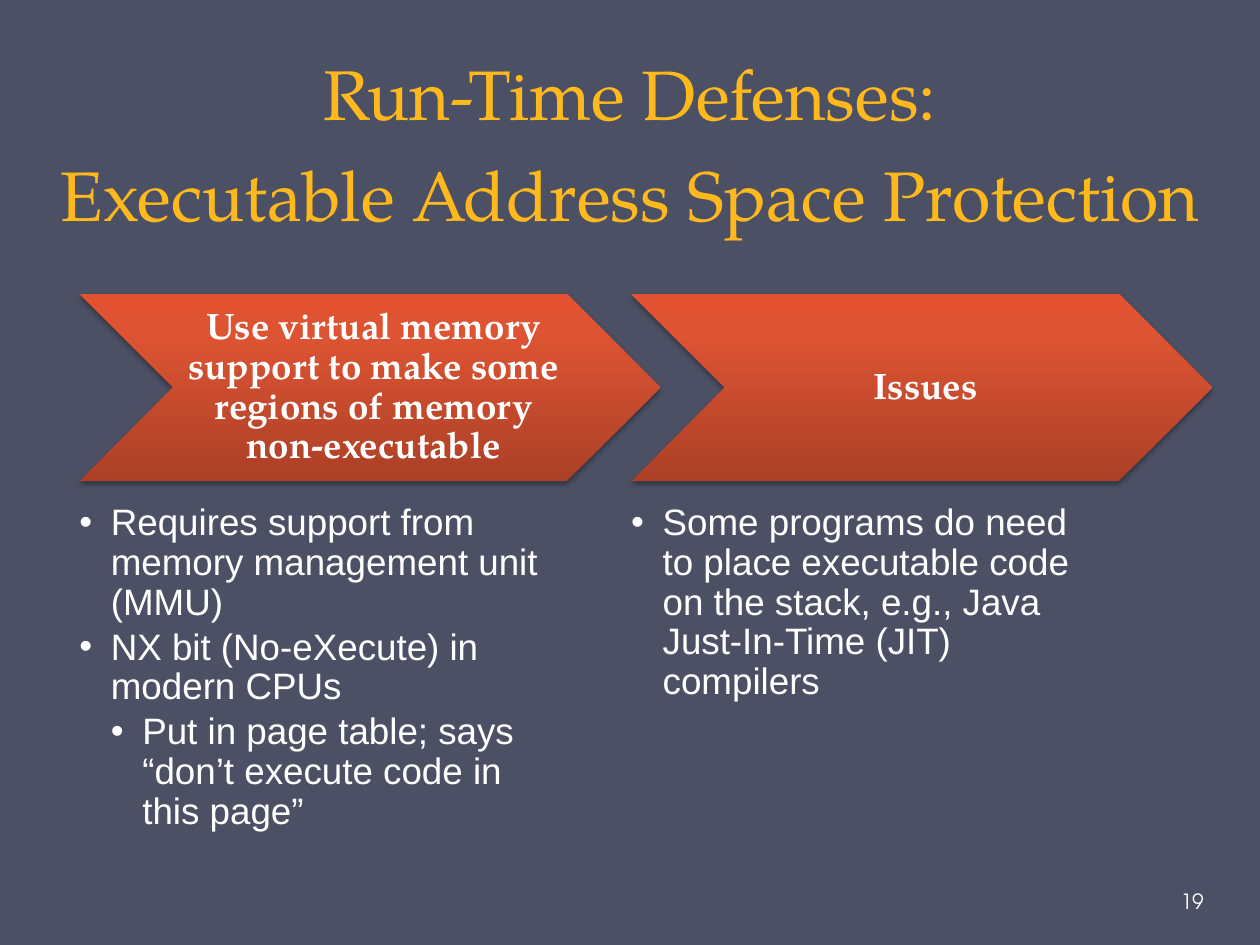
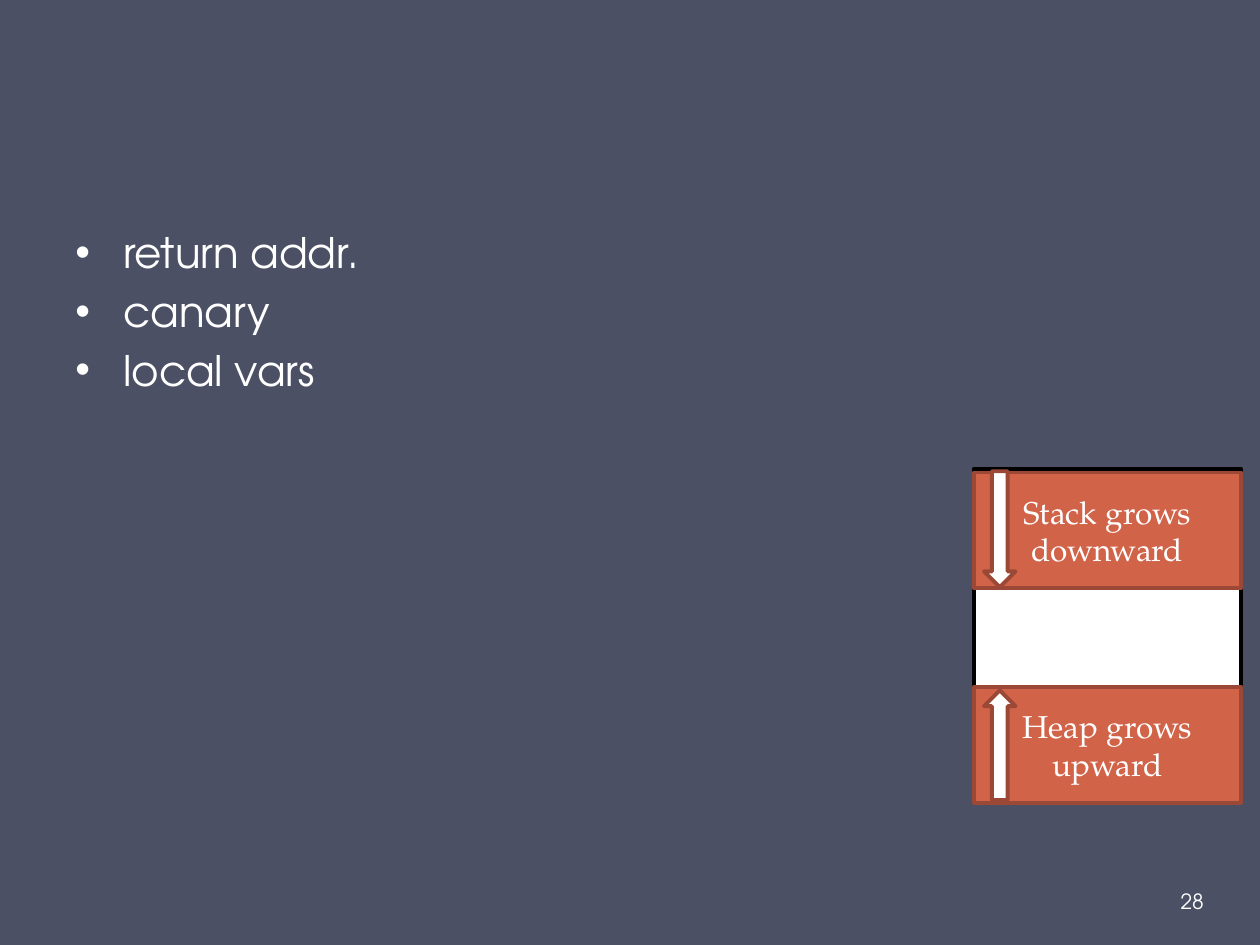
from lxml import etree
from pptx import Presentation
from pptx import util as u
from pptx.dml.color import RGBColor
from pptx.enum import shapes, text
from pptx.oxml.ns import qn

COLORS = {
    "background": "4B5064", "title": "FFB91D", "white": "FFFFFF", "black": "000000",
    "segment": "D16349", "segment_edge": "9B4936",
    "chevron_low": "AB4027", "chevron_mid": "DE5433", "chevron_high": "E35230",
}
SERIF, SANS, BODY = "TeX Gyre Pagella", "TeX Gyre Adventor", "Arial"
WIDTH, HEIGHT = 10, 7.5

TITLE = ["Run-Time Defenses:", "Executable Address Space Protection"]
# Each column: heading, then bullets as (level, text)
COLUMNS = [
    ("Use virtual memory support to make some regions of memory non-executable", [
        (1, "Requires support from memory management unit (MMU)"),
        (1, "NX bit (No-eXecute) in modern CPUs"),
        (2, "Put in page table; says “don’t execute code in this page”"),
    ]),
    ("Issues", [
        (1, "Some programs do need to place executable code on the stack, "
            "e.g., Java Just-In-Time (JIT) compilers"),
    ]),
]
FRAME_PARTS = ["return addr.", "canary", "local vars"]
# Memory segments: label, top, arrow shape, arrow top, arrow height
SEGMENTS = [
    ("Stack grows downward", 3.75, shapes.MSO_SHAPE.DOWN_ARROW, 3.74, 0.92),
    ("Heap grows upward", 5.45, shapes.MSO_SHAPE.UP_ARROW, 5.48, 0.87),
]
COLUMN_LEFT, COLUMN_STEP = 0.63, 4.38
CHEVRON_TOP, CHEVRON_WIDTH, CHEVRON_HEIGHT = 2.33, 4.61, 1.49
MEMORY_LEFT, MEMORY_WIDTH = 7.73, 2.12


def rgb(name):
    return RGBColor.from_string(COLORS[name])


def inches(*lengths):
    return [u.Inches(length) for length in lengths]


def add_run(paragraph, content, size, font, color="white", bold=False):
    run = paragraph.add_run()
    run.text = content
    run.font.size, run.font.name, run.font.bold = u.Pt(size), font, bold
    run.font.color.rgb = rgb(color)


def add_text_box(slide, box, insets=(0.1, 0.05, 0.1, 0.05), anchor=text.MSO_ANCHOR.TOP):
    frame = slide.shapes.add_textbox(*inches(*box)).text_frame
    frame.word_wrap = True
    frame.vertical_anchor = anchor
    (frame.margin_left, frame.margin_top,
     frame.margin_right, frame.margin_bottom) = inches(*insets)
    return frame


def set_bullet(paragraph, left, hang):
    properties = paragraph._p.get_or_add_pPr()
    properties.set("marL", str(u.Inches(left)))
    properties.set("indent", str(-u.Inches(hang)))
    etree.SubElement(properties, qn("a:buFont"), typeface="Arial")
    etree.SubElement(properties, qn("a:buChar"), char="•")


def add_bullets(frame, items, size, font, hang, before=0, after=0, spacing=1.0):
    for index, (level, content) in enumerate(items):
        paragraph = frame.add_paragraph() if index else frame.paragraphs[0]
        set_bullet(paragraph, hang * level, hang)
        paragraph.line_spacing = spacing
        paragraph.space_before = u.Pt(before if index else 0)
        paragraph.space_after = u.Pt(after)
        add_run(paragraph, content, size, font)


def add_shape(slide, preset, box, fill=None, line=None):
    shape = slide.shapes.add_shape(preset, *inches(*box))
    shape.shadow.inherit = False
    if fill:
        shape.fill.solid()
        shape.fill.fore_color.rgb = rgb(fill)
    if line:
        shape.line.color.rgb = rgb(line)
        shape.line.width = u.Pt(2.25)
    else:
        shape.line.fill.background()
    return shape


def add_color(parent, name):
    return etree.SubElement(parent, qn("a:srgbClr"), val=COLORS[name])


def add_chevron(slide, left):
    """Chevron with a three-stop vertical gradient and a soft shadow below."""
    box = (left, CHEVRON_TOP, CHEVRON_WIDTH, CHEVRON_HEIGHT)
    shape = add_shape(slide, shapes.MSO_SHAPE.CHEVRON, box)
    shape.fill.gradient()
    shape.fill.gradient_angle = 90
    properties = shape._element.spPr
    stops = properties.find(qn("a:gradFill")).find(qn("a:gsLst"))
    for stop in list(stops):
        stops.remove(stop)
    for share, name in ((0, "chevron_low"), (80, "chevron_mid"), (100, "chevron_high")):
        add_color(etree.SubElement(stops, qn("a:gs"), pos=str(share * 1000)), name)
    shadow = etree.SubElement(
        properties.find(qn("a:effectLst")), qn("a:outerShdw"), blurRad=str(u.Pt(3.1)),
        dist=str(u.Pt(1.8)), dir=str(90 * 60000), rotWithShape="0")
    etree.SubElement(add_color(shadow, "black"), qn("a:alpha"), val="35000")


def add_slide(presentation, number):
    slide = presentation.slides.add_slide(presentation.slide_layouts[6])
    slide.background.fill.solid()
    slide.background.fill.fore_color.rgb = rgb("background")
    frame = add_text_box(slide, (9.34, 6.95, 0.61, 0.4), (0.03, 0.05, 0.05, 0.05),
                         text.MSO_ANCHOR.MIDDLE)
    add_run(frame.paragraphs[0], str(number), 12, SANS)
    return slide


def add_title(slide, lines):
    frame = add_text_box(slide, (0, 0.14, WIDTH, 1.78), anchor=text.MSO_ANCHOR.BOTTOM)
    paragraph = frame.paragraphs[0]
    paragraph.alignment = text.PP_ALIGN.CENTER
    paragraph.line_spacing = u.Pt(58)
    for index, line in enumerate(lines):
        if index:
            paragraph.add_line_break()
        add_run(paragraph, line, 40, SERIF, "title")


def build_defenses(presentation):
    slide = add_slide(presentation, 19)
    add_title(slide, TITLE)
    for index, (heading, bullets) in enumerate(COLUMNS):
        left = COLUMN_LEFT + index * COLUMN_STEP
        add_chevron(slide, left)
        heading_box = (left + CHEVRON_HEIGHT / 2, CHEVRON_TOP,
                       CHEVRON_WIDTH - CHEVRON_HEIGHT, CHEVRON_HEIGHT)
        frame = add_text_box(slide, heading_box, (0.09, 0.03, 0.03, 0.03),
                             text.MSO_ANCHOR.MIDDLE)
        paragraph = frame.paragraphs[0]
        paragraph.alignment = text.PP_ALIGN.CENTER
        paragraph.line_spacing = 0.9
        add_run(paragraph, heading, 21, SERIF, bold=True)
        frame = add_text_box(slide, (left, 4, CHEVRON_WIDTH * 0.8, 2.53), (0, 0, 0, 0))
        add_bullets(frame, bullets, 21, BODY, 0.25, after=3, spacing=0.9)


def build_memory(presentation):
    slide = add_slide(presentation, 28)
    frame = add_text_box(slide, (0.5, 1.75, WIDTH - 1, 4.95))
    add_bullets(frame, [(1, part) for part in FRAME_PARTS], 24, SANS, 0.38, before=4.8)
    rectangle = shapes.MSO_SHAPE.RECTANGLE
    add_shape(slide, rectangle, (MEMORY_LEFT, 3.72, MEMORY_WIDTH, 2.64), "white", "black")
    for label, top, arrow, arrow_top, arrow_height in SEGMENTS:
        segment = add_shape(slide, rectangle, (MEMORY_LEFT, top, MEMORY_WIDTH, 0.92),
                            "segment", "segment_edge")
        frame = segment.text_frame
        frame.word_wrap = True
        frame.vertical_anchor = text.MSO_ANCHOR.MIDDLE
        frame.paragraphs[0].alignment = text.PP_ALIGN.CENTER
        add_run(frame.paragraphs[0], label, 18, SERIF)
        add_shape(slide, arrow, (MEMORY_LEFT + 0.08, arrow_top, 0.25, arrow_height),
                  "white", "segment_edge")


def main():
    presentation = Presentation()
    presentation.slide_width, presentation.slide_height = inches(WIDTH, HEIGHT)
    build_defenses(presentation)
    build_memory(presentation)
    presentation.save("out.pptx")


if __name__ == "__main__":
    main()
